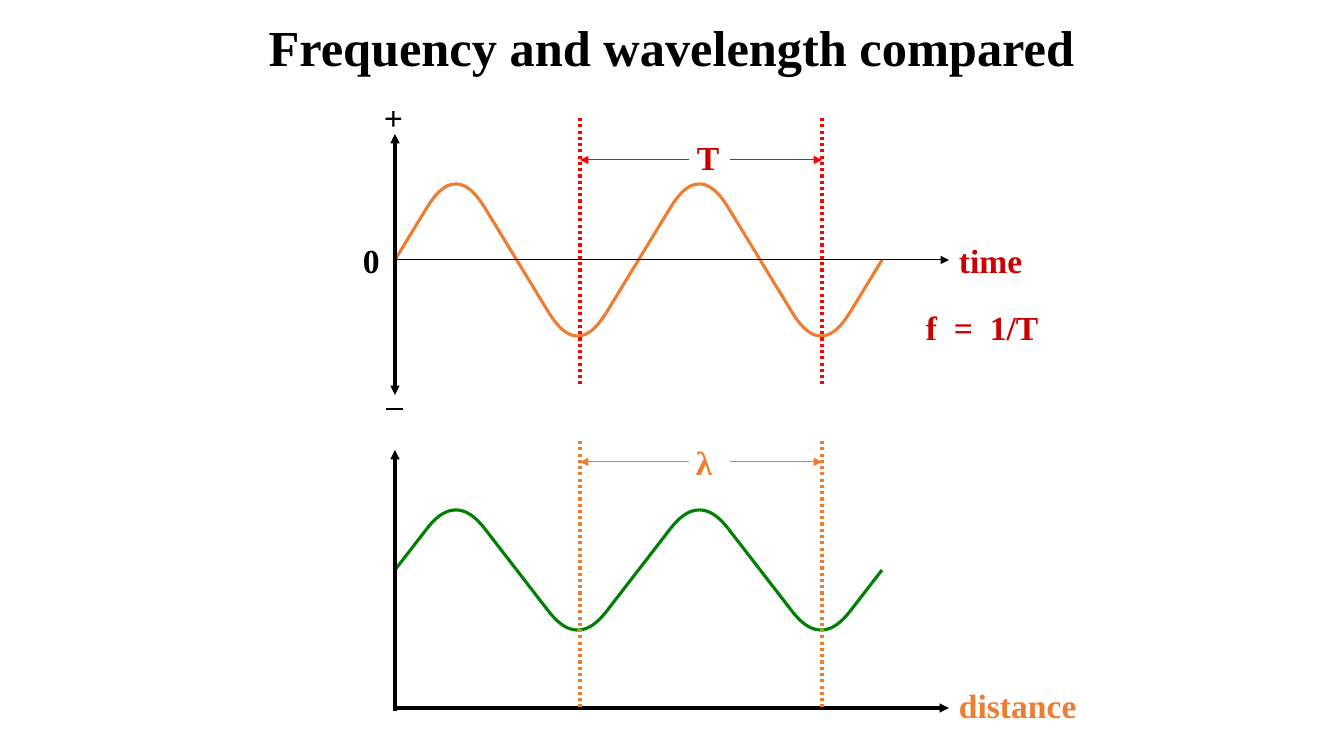
from lxml import etree
from pptx import Presentation, util as u
from pptx.dml import color
from pptx.enum import dml, shapes, text
from pptx.oxml import ns

THEME = {
    "font": "Times New Roman",
    "title": 36, "label": 24,
    "bold_line": 2.25, "thin_line": 0.75,
    "black": "000000", "red": "FF0000", "crimson": "CC0000",
    "orange": "ED7D31", "green": "008000",
}

TITLE = ("Frequency and wavelength compared", (243, -17, 857, 126))
LABELS = [
    ("+", "black", (374, 92, 39, 50)),
    ("0", "black", (353, 235, 37, 50)),
    ("time", "crimson", (949, 235, 84, 50)),
    ("f  =  1/T", "crimson", (916, 302, 133, 50)),
    ("T", "crimson", (687, 132, 42, 50)),
    ("distance", "orange", (949, 680, 138, 50)),
    ("λ", "orange", (686, 437, 39, 50)),
]
WAVES = [("orange", 260, 76), ("green", 570, 60)]
AXES = [
    ((395, 134), (395, 395), "bold_line", "both"),
    ((395, 260), (949, 260), "thin_line", "tail"),
    ((395, 450), (395, 711), "bold_line", "head"),
    ((395, 708), (949, 708), "bold_line", "tail"),
    ((386, 409), (403, 409), "thin_line", ""),
]
SPANS = [("red", 118, 160), ("orange", 441, 462)]

WAVE_LEFT, WAVE_RIGHT = 395, 882
HALF_WAVES = 4
QUARTER = (WAVE_RIGHT - WAVE_LEFT) / HALF_WAVES / 2
TROUGHS = (580, 822)
SPAN_GAP = (689, 730)
GUIDE_HEIGHT = 268
CREST = [(32, 0.69), (41, 0.88), (50, 1), (QUARTER, 1)]
CREST_STEPS = 12


def px(length):
    return u.Emu(round(length * 914400 / 100.8))


def rgb(name):
    return color.RGBColor.from_string(THEME[name])


def crest_point(t):
    weights = ((1 - t) ** 3, 3 * t * (1 - t) ** 2, 3 * t * t * (1 - t), t ** 3)
    return tuple(sum(w * point[i] for w, point in zip(weights, CREST)) for i in (0, 1))


def half_wave_pieces():
    slope = [(0, 0), CREST[0]]
    crest = [crest_point(i / CREST_STEPS) for i in range(CREST_STEPS + 1)]
    rising = [slope, crest]
    falling = [[(2 * QUARTER - x, y) for x, y in reversed(piece)]
               for piece in reversed(rising)]
    return rising + falling


def add_wave(page, tint, middle, height):
    for half in range(HALF_WAVES):
        start = WAVE_LEFT + half * 2 * QUARTER
        swing = height * (-1) ** half
        for piece in half_wave_pieces():
            add_curve(page, tint, [(px(start + x), px(middle - swing * y))
                                   for x, y in piece])


def add_curve(page, tint, points):
    builder = page.shapes.build_freeform(*points[0])
    builder.add_line_segments(points[1:], close=False)
    curve = builder.convert_to_shape()
    curve.shadow.inherit = False
    curve.fill.background()
    curve.line.color.rgb = rgb(tint)
    curve.line.width = u.Pt(THEME["bold_line"])


def add_line(page, start, end, tint, weight, arrows="", dotted=False):
    line = page.shapes.add_connector(
        shapes.MSO_CONNECTOR.STRAIGHT, *map(px, start + end))
    line.line.color.rgb = rgb(tint)
    line.line.width = u.Pt(THEME[weight])
    if dotted:
        line.line.dash_style = dml.MSO_LINE.ROUND_DOT
    outline = line.line._get_or_add_ln()
    for side in ("head", "tail"):
        if arrows in (side, "both"):
            etree.SubElement(outline, ns.qn(f"a:{side}End"), type="triangle")
    etree.SubElement(line._element.spPr, ns.qn("a:effectLst"))


def add_text(page, words, tint, place, size="label"):
    box = page.shapes.add_textbox(*map(px, place))
    frame = box.text_frame
    frame.word_wrap = size == "title"
    para = frame.paragraphs[0]
    para.text = words
    para.font.name = THEME["font"]
    para.font.size = u.Pt(THEME[size])
    para.font.bold = True
    para.font.color.rgb = rgb(tint)
    if size == "title":
        para.alignment = text.PP_ALIGN.CENTER
        frame.vertical_anchor = text.MSO_ANCHOR.MIDDLE
    else:
        frame.auto_size = text.MSO_AUTO_SIZE.SHAPE_TO_FIT_TEXT


def main():
    deck = Presentation()
    deck.slide_width, deck.slide_height = px(1344), px(756)
    page = deck.slides.add_slide(deck.slide_layouts[6])

    for tint, middle, height in WAVES:
        add_wave(page, tint, middle, height)
    for start, end, weight, arrows in AXES:
        add_line(page, start, end, "black", weight, arrows)
    for tint, top, arrow_y in SPANS:
        for trough, gap_edge in zip(TROUGHS, SPAN_GAP):
            add_line(page, (trough, top), (trough, top + GUIDE_HEIGHT),
                     tint, "bold_line", dotted=True)
            add_line(page, (gap_edge, arrow_y), (trough, arrow_y),
                     tint, "thin_line", "tail")
    add_text(page, TITLE[0], "black", TITLE[1], "title")
    for words, tint, place in LABELS:
        add_text(page, words, tint, place)

    deck.save("out.pptx")


if __name__ == "__main__":
    main()
